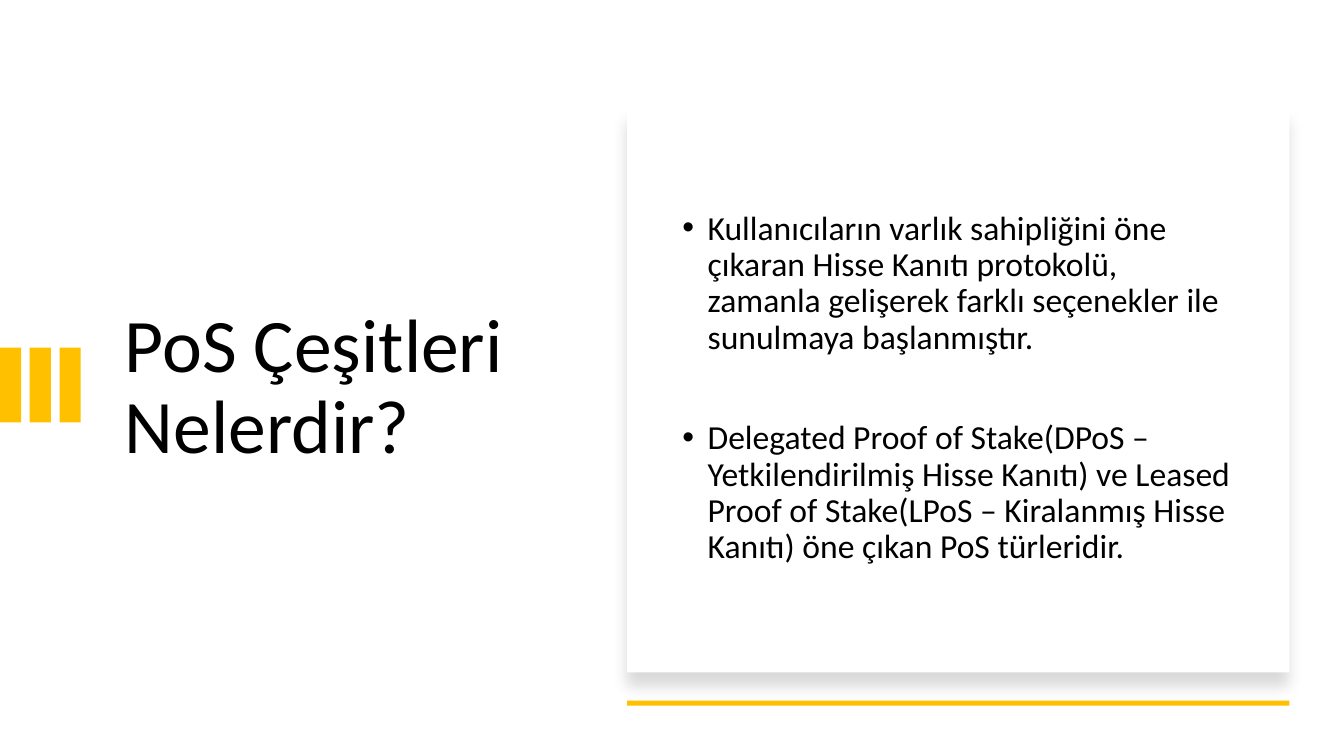
from lxml.etree import SubElement
from pptx import Presentation
from pptx.dml.color import RGBColor
from pptx.enum.shapes import MSO_SHAPE
from pptx.enum.text import MSO_ANCHOR
from pptx.oxml import parse_xml
from pptx.oxml.ns import nsdecls, qn
from pptx.util import Inches, Pt

FONT = "Calibri"
BLACK, WHITE, AMBER = "000000", "FFFFFF", "FFC000"
TITLE = "PoS Çeşitleri Nelerdir?"
POINTS = [
    "Kullanıcıların varlık sahipliğini öne çıkaran Hisse Kanıtı protokolü, "
    "zamanla gelişerek farklı seçenekler ile sunulmaya başlanmıştır.",
    "Delegated Proof of Stake(DPoS – Yetkilendirilmiş Hisse Kanıtı) ve Leased "
    "Proof of Stake(LPoS – Kiralanmış Hisse Kanıtı) öne çıkan PoS türleridir.",
]
CARD_LEFT, CARD_WIDTH = 6.22, 6.57
TEXT_TOP, TEXT_HEIGHT = 1.5, 4.71
BAR_COUNT, BAR_WIDTH, BAR_SPAN = 3, 0.21, 0.8


def color(hex_value):
    return RGBColor.from_string(hex_value)


def add_block(slide, left, top, width, height, fill):
    block = slide.shapes.add_shape(
        MSO_SHAPE.RECTANGLE, Inches(left), Inches(top), Inches(width), Inches(height))
    block.shadow.inherit = False
    block.fill.solid()
    block.fill.fore_color.rgb = color(fill)
    block.line.fill.background()
    return block


def add_soft_shadow(block):
    """Cast a faint shadow straight down from the block."""
    effects = block.element.spPr.find(qn("a:effectLst"))
    effects.append(parse_xml(
        f'<a:outerShdw {nsdecls("a")} blurRad="{Pt(11)}" dist="{Pt(10)}" dir="5400000" '
        f'algn="t" rotWithShape="0"><a:srgbClr val="{BLACK}">'
        '<a:alpha val="15000"/></a:srgbClr></a:outerShdw>'))


def add_text(slide, left, width, lines, size):
    """Add a vertically centred text box and return its paragraphs."""
    box = slide.shapes.add_textbox(
        Inches(left), Inches(TEXT_TOP), Inches(width), Inches(TEXT_HEIGHT))
    frame = box.text_frame
    frame.word_wrap = True
    frame.vertical_anchor = MSO_ANCHOR.MIDDLE
    frame.text = "\n".join(lines)
    for paragraph in frame.paragraphs:
        paragraph.line_spacing = 0.9
        for run in paragraph.runs:
            run.font.name = FONT
            run.font.size = Pt(size)
            run.font.color.rgb = color(BLACK)
    return frame.paragraphs


def add_bullet(paragraph, space_before):
    paragraph.space_before = Pt(space_before)
    properties = paragraph._p.get_or_add_pPr()
    properties.set("marL", str(Inches(0.25)))
    properties.set("indent", str(Inches(-0.25)))
    SubElement(properties, qn("a:buFont"), typeface="Arial")
    SubElement(properties, qn("a:buChar"), char="•")


def main():
    deck = Presentation()
    deck.slide_width, deck.slide_height = Inches(13.33), Inches(7.5)
    slide = deck.slides.add_slide(deck.slide_layouts[6])

    add_text(slide, 1.14, 4.26, [TITLE], 54)
    bar_pitch = (BAR_SPAN - BAR_WIDTH) / (BAR_COUNT - 1)
    for index in range(BAR_COUNT):
        add_block(slide, index * bar_pitch, 3.45, BAR_WIDTH, 0.74, AMBER)

    card = add_block(slide, CARD_LEFT, 1.07, CARD_WIDTH, 5.6, WHITE)
    add_soft_shadow(card)
    points = add_text(slide, 6.67, 5.71, POINTS, 24)
    for point, space_before in zip(points, (10, 46)):
        add_bullet(point, space_before)
    add_block(slide, CARD_LEFT, 6.95, CARD_WIDTH, 0.05, AMBER)

    deck.save("out.pptx")


if __name__ == "__main__":
    main()
